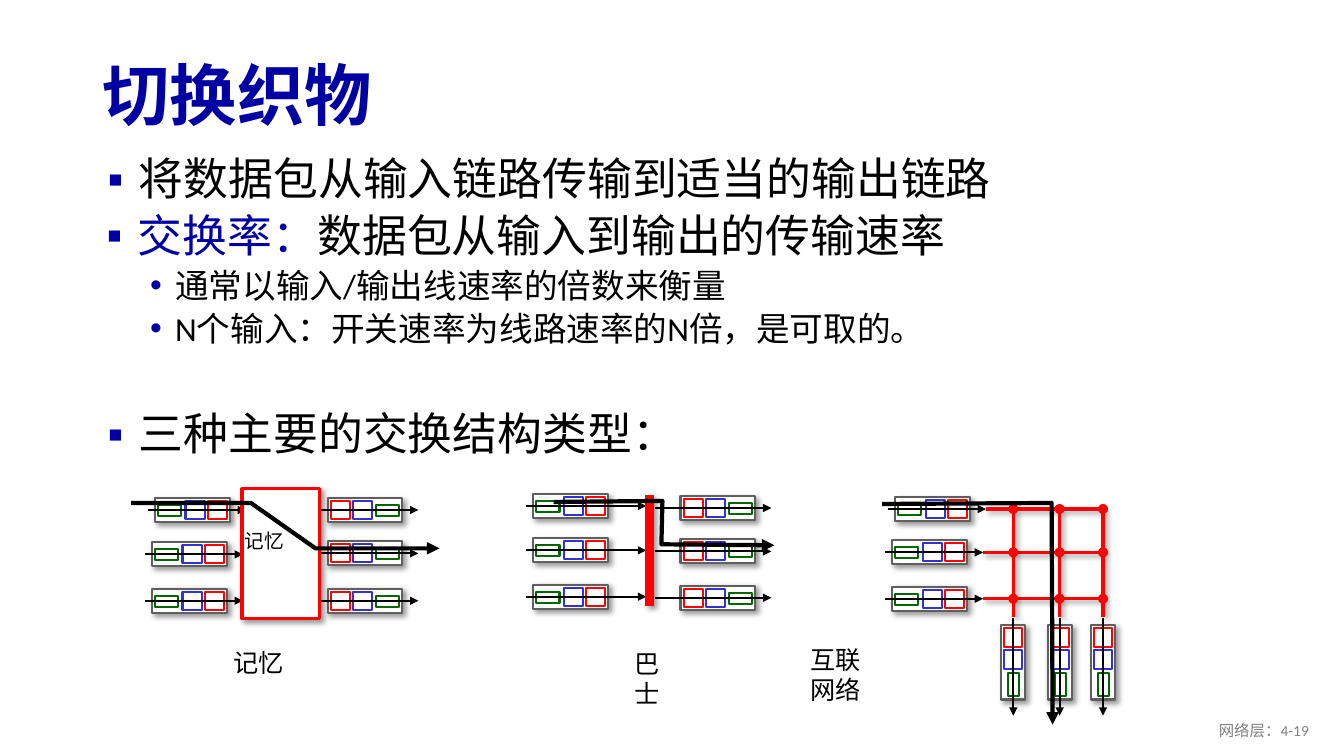
"""Builds the slide on the three kinds of switching fabric."""
from itertools import product

from lxml import etree
from pptx import Presentation
from pptx import util as u
from pptx.dml.color import RGBColor
from pptx.enum import shapes, text
from pptx.oxml.ns import qn

CELL = u.Inches(1)
COLUMNS, ROWS = 13.33, 7.5
COLORS = {
    "title": "0000A3", "sub_bullet": "0000A8", "black": "000000",
    "white": "FFFFFF", "frame": "5F5F5F", "green": "006600",
    "blue": "3333CC", "red": "FF0000", "footer": "808080",
}
FIELDS = [("red", 0.03, 0.03, 0.19, 0.18),
          ("blue", 0.25, 0.03, 0.19, 0.18),
          ("green", 0.48, 0.07, 0.23, 0.11)]
PACKET_LENGTH, PACKET_HEIGHT = 0.74, 0.24


def grid(*cells):
    """Turn grid cells into slide lengths."""
    return [round(cell * CELL) for cell in cells]


def color(name):
    """Return the named colour."""
    return RGBColor.from_string(COLORS[name])


def set_effects(shape, shadowed):
    """Give a shape a soft shadow, or none."""
    properties = shape._element.spPr
    effects = properties.find(qn("a:effectLst"))
    if effects is None:
        effects = etree.SubElement(properties, qn("a:effectLst"))
    if shadowed:
        shadow = etree.SubElement(effects, qn("a:outerShdw"), blurRad=str(u.Pt(4)),
                                  dist=str(u.Pt(3)), dir="2700000", rotWithShape="0")
        tint = etree.SubElement(shadow, qn("a:srgbClr"), val=COLORS["black"])
        etree.SubElement(tint, qn("a:alpha"), val="40000")


def set_line(shape, name, width, arrow=False):
    """Colour an outline, with an optional arrowhead."""
    shape.line.color.rgb = color(name)
    shape.line.width = u.Pt(width)
    if arrow:
        etree.SubElement(shape.line._get_or_add_ln(), qn("a:tailEnd"), type="triangle")


def add_box(slide, place, outline, width=1.5, shadowed=False):
    """Add a white outlined rectangle."""
    box = slide.shapes.add_shape(shapes.MSO_SHAPE.RECTANGLE, *grid(*place))
    box.fill.solid()
    box.fill.fore_color.rgb = color("white")
    set_line(box, outline, width)
    set_effects(box, shadowed)


def add_line(slide, ends, name="black", width=1.5, arrow=False, shadowed=False):
    """Add a straight line or arrow."""
    line = slide.shapes.add_connector(shapes.MSO_CONNECTOR.STRAIGHT, *grid(*ends))
    set_line(line, name, width, arrow)
    set_effects(line, shadowed)


def add_route(slide, *points):
    """Add the thick arrow that a packet follows."""
    start, *others = [grid(*point) for point in points]
    builder = slide.shapes.build_freeform(*start)
    builder.add_line_segments(others, close=False)
    route = builder.convert_to_shape()
    route.fill.background()
    set_line(route, "black", 3, arrow=True)
    set_effects(route, False)


def add_packet(slide, left, top, mirrored=False, upright=False, lead=0.07, reach=0.9):
    """Add a packet of three fields with the arrow through it."""
    def turn(values):
        """Swap across and down for an upright packet."""
        return [values[i] for i in (1, 0, 3, 2)] if upright else values

    def place(*values):
        """Shift a place inside the packet onto the slide."""
        across, down, width, height = turn(values)
        return left + across, top + down, width, height

    add_box(slide, place(0, 0, PACKET_LENGTH, PACKET_HEIGHT), "frame", shadowed=True)
    for name, across, down, width, height in FIELDS:
        if mirrored:
            across = PACKET_LENGTH - across - width
        add_box(slide, place(across, down, width, height), name)
    middle = PACKET_HEIGHT / 2
    x1, y1, x2, y2 = turn([-lead, middle, reach, middle])
    add_line(slide, (left + x1, top + y1, left + x2, top + y2), arrow=True)


def add_text(slide, place, paragraphs, size, font="Arial", name="black", bold=False,
             anchor=text.MSO_ANCHOR.TOP, align=text.PP_ALIGN.LEFT, spacing=None):
    """Add a text box with plain paragraphs."""
    frame = slide.shapes.add_textbox(*grid(*place)).text_frame
    frame.word_wrap = True
    frame.vertical_anchor = anchor
    frame.text = "\n".join(paragraphs)
    for paragraph in frame.paragraphs:
        paragraph.alignment = align
        paragraph.line_spacing = spacing
        for run in paragraph.runs:
            format_run(run, size, font, name, bold)


def format_run(run, size, font, name, bold=False):
    """Set the look of a run."""
    run.font.size = u.Pt(size)
    run.font.name = font
    run.font.bold = bold
    run.font.color.rgb = color(name)


def add_bullets(slide, place, items):
    """Add bulleted paragraphs given as a level and coloured parts."""
    frame = slide.shapes.add_textbox(*grid(*place)).text_frame
    frame.word_wrap = True
    for index, (level, parts) in enumerate(items):
        paragraph = frame.paragraphs[0] if index == 0 else frame.add_paragraph()
        margin, indent, mark, tint, size, before = (
            (0.76, -0.25, "•", "sub_bullet", 24, 5) if level
            else (0.39, -0.31, "▪", "title", 32, 10))
        paragraph.level = level
        properties = paragraph._p.get_or_add_pPr()
        for key, value in zip(("marL", "indent"), grid(margin, indent)):
            properties.set(key, str(value))
        bullet_color = etree.SubElement(properties, qn("a:buClr"))
        etree.SubElement(bullet_color, qn("a:srgbClr"), val=COLORS[tint])
        etree.SubElement(properties, qn("a:buFont"), typeface="Arial")
        etree.SubElement(properties, qn("a:buChar"), char=mark)
        paragraph.line_spacing = 0.9
        paragraph.space_before = u.Pt(before if index else 0)
        for words, name in parts:
            run = paragraph.add_run()
            run.text = words
            format_run(run, size, "Calibri", name)


def draw_memory(slide):
    """Draw switching through memory."""
    for left, top in ((1.54, 4.94), (1.51, 5.38), (1.51, 5.84)):
        add_packet(slide, left, top, mirrored=True)
    add_box(slide, (2.4, 4.85, 0.77, 1.29), "red", 2.25, shadowed=True)
    for top in (4.94, 5.37, 5.84):
        add_packet(slide, 3.25, top)
    add_text(slide, (2.22, 6.37, 1.1, 0.4), ["记忆"], 18)
    add_text(slide, (2.33, 5.2, 0.9, 0.33), ["记忆"], 14)
    add_route(slide, (1.3, 4.99), (2.49, 4.99), (3.13, 5.44), (4.36, 5.44))


def draw_bus(slide):
    """Draw switching over a bus."""
    for top in (4.9, 5.34, 5.8):
        add_packet(slide, 5.29, top, mirrored=True, reach=1.12)
    add_line(slide, (6.44, 4.91, 6.44, 6.01), "red", 6, shadowed=True)
    for top in (4.92, 5.35, 5.81):
        add_packet(slide, 6.75, top, lead=0.25)
    add_text(slide, (6.19, 6.38, 0.6, 0.7), ["巴士"], 18)
    add_route(slide, (5.49, 4.98), (6.57, 4.97), (6.56, 5.4), (7.68, 5.41))


def draw_crossbar(slide):
    """Draw switching through an interconnection network."""
    rows, columns = (5.05, 5.48, 5.94), (10.05, 10.51, 10.94)
    for left, row in zip((8.88, 8.85, 8.85), rows):
        add_packet(slide, left, row - PACKET_HEIGHT / 2, mirrored=True)
        add_line(slide, (left + 0.9, row, columns[-1], row), "red", 2.25, shadowed=True)
    for column in columns:
        add_packet(slide, column - PACKET_HEIGHT / 2, 6.2, upright=True)
        add_line(slide, (column, 6.12, column, rows[0]), "red", 2.25, shadowed=True)
    for column, row in product(columns, rows):
        dot = slide.shapes.add_shape(shapes.MSO_SHAPE.OVAL,
                                     *grid(column - 0.05, row - 0.05, 0.1, 0.1))
        dot.fill.solid()
        dot.fill.fore_color.rgb = color("red")
        dot.line.fill.background()
        set_effects(dot, False)
    add_text(slide, (7.94, 6.34, 1.91, 0.71), ["互联", "网络"], 18)
    add_route(slide, (8.75, 5), (10.43, 4.99), (10.44, 7.19))


def main():
    """Build and save the slide."""
    presentation = Presentation()
    presentation.slide_width, presentation.slide_height = grid(COLUMNS, ROWS)
    slide = presentation.slides.add_slide(presentation.slide_layouts[6])
    add_text(slide, (0.92, 0.49, 11.5, 0.98), ["切换织物"], 48, "Calibri", "title",
             bold=True, anchor=text.MSO_ANCHOR.MIDDLE, spacing=0.9)
    for draw in (draw_bus, draw_memory, draw_crossbar):
        draw(slide)
    add_bullets(slide, (0.89, 1.51, 12.07, 0.69),
                [(0, [("将数据包从输入链路传输到适当的输出链路", "black")])])
    add_bullets(slide, (0.88, 2.07, 12.07, 1.6), [
        (0, [("交换率：", "title"), ("数据包从输入到输出的传输速率", "black")]),
        (1, [("通常以输入/输出线速率的倍数来衡量", "black")]),
        (1, [("N个输入：开关速率为线路速率的N倍，是可取的。", "black")])])
    add_bullets(slide, (0.89, 4.04, 12.07, 0.72),
                [(0, [("三种主要的交换结构类型：", "black")])])
    add_text(slide, (10.08, 7.05, 3, 0.4), ["网络层：4-19"], 11, "Calibri", "footer",
             anchor=text.MSO_ANCHOR.MIDDLE, align=text.PP_ALIGN.RIGHT)
    presentation.save("out.pptx")


if __name__ == "__main__":
    main()
